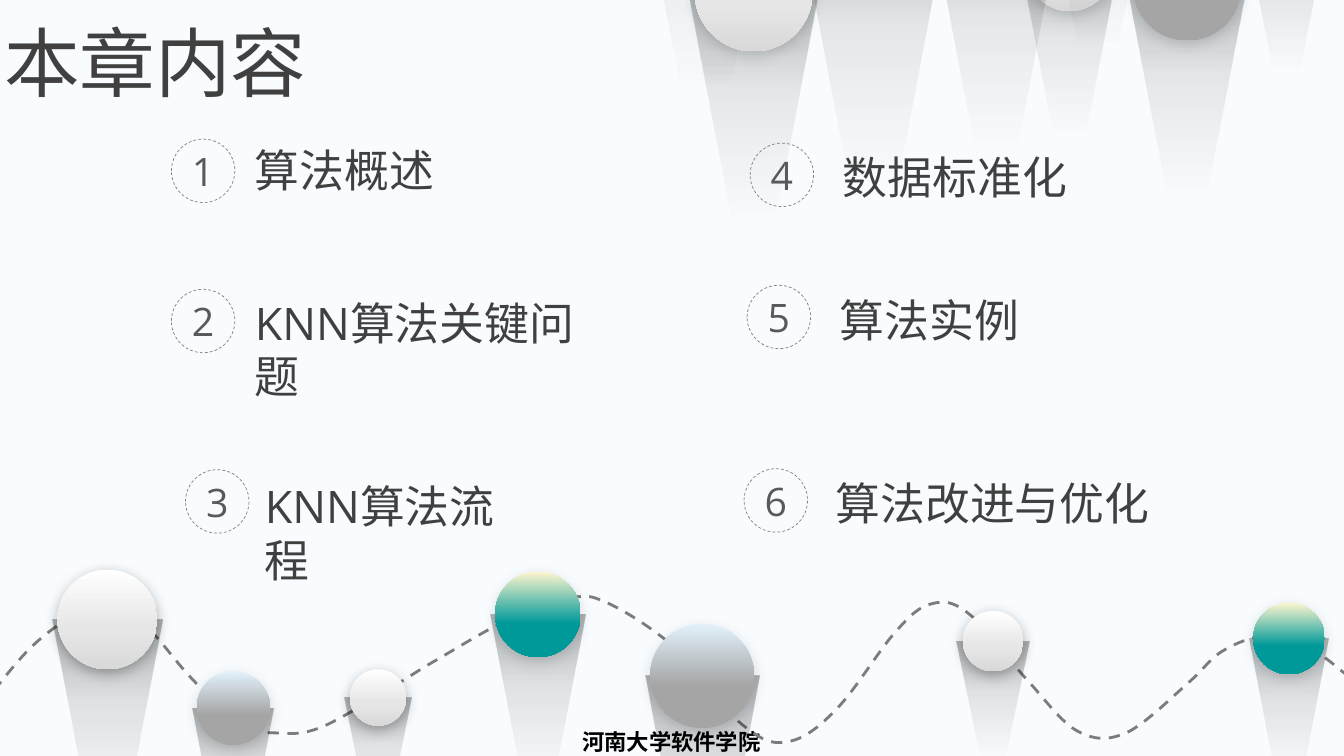
from dataclasses import dataclass

import lxml.etree
import pptx
import pptx.dml.color
import pptx.enum.dml
import pptx.enum.shapes
import pptx.enum.text
import pptx.oxml.ns
import pptx.util
from pptx.util import Inches

HUES = {"page": "F8FCFE", "title": "404040", "digit": "595959", "ring": "808080",
        "wave": "7C7C7C", "foot": "000000", "shade": "000000"}
FONT = "Open Sans"
Stops = list[tuple[int, str, int]]
Points = list[tuple[float, float]]

SKINS: dict[str, Stops] = {
    "white": [(0, "FFFFFF", 100), (60, "E7E6E6", 100), (100, "D9D9D9", 100)],
    "gray": [(1, "E1F0F9", 100), (60, "A5A5A5", 100), (100, "A5A5A5", 100)],
    "teal": [(0, "FFF6CF", 100), (60, "009999", 100), (100, "009999", 100)],
    "high": [(30, "000000", 0), (50, "000000", 4), (70, "000000", 8), (100, "262626", 30)],
    "low": [(30, "000000", 0), (50, "000000", 5), (70, "000000", 10), (100, "000000", 30)],
}


@dataclass
class Cone:
    x: float
    y: float
    w: float
    h: float


@dataclass
class Ball:
    x: float
    y: float
    size: float
    skin: str
    shade: int = 15
    wide: float = 1.1
    tall: float = 2.48


@dataclass
class Item:
    x: float
    y: float
    left: float
    top: float
    width: float
    text: str


HIGH: list[Cone | Ball] = [
    Cone(8.84, -1.44, 0.64, 1.6), Cone(9.77, -1.63, 0.84, 2.1),
    Cone(9.29, -2.83, 1.37, 3.4), Cone(8.92, -2.1, 1.03, 2.56),
    Cone(12.37, -0.59, 0.78, 1.83), Ball(10.18, -0.75, 0.86, "white"),
    Cone(9.24, -0.81, 1.28, 3.2), Cone(6.25, -1.75, 1.49, 3.69),
    Cone(7.82, -1.62, 0.9, 2.23), Cone(7.62, -2.23, 0.96, 2.36),
    Cone(7.92, -0.85, 1.49, 3.69), Cone(7.32, -1.2, 1, 2.5),
    Ball(6.89, -0.66, 1.17, "white"), Cone(10.3, -1.61, 1.18, 2.93),
    Cone(11.02, -1.04, 0.69, 1.56), Ball(11.24, -0.67, 1.07, "gray"),
]
LOW: list[Cone | Ball] = [
    Ball(0.57, 5.65, 0.99, "white", 30), Ball(1.95, 6.66, 0.73, "gray"),
    Ball(3.47, 6.64, 0.56, "white", 30, 1.18, 2.32), Ball(4.91, 5.67, 0.85, "teal"),
    Ball(6.45, 6.19, 1.03, "gray"), Ball(9.55, 6.06, 0.6, "white", 30, 1.2, 2.29),
    Ball(12.43, 5.98, 0.71, "teal"),
]
ITEMS = [
    Item(1.7, 1.38, 2.43, 1.37, 2, "算法概述"),
    Item(1.7, 2.87, 2.43, 2.88, 3.8, "KNN算法关键问题"),
    Item(1.84, 4.66, 2.53, 4.7, 2.9, "KNN算法流程"),
    Item(7.44, 1.42, 8.26, 1.44, 2.45, "数据标准化"),
    Item(7.41, 2.83, 8.23, 2.85, 2, "算法实例"),
    Item(7.38, 4.65, 8.19, 4.67, 3.34, "算法改进与优化"),
]
WAVE: Points = [
    (-0.06, 6.85),
    (0.06, 6.7), (0.18, 6.55), (0.29, 6.44), (0.41, 6.32), (0.53, 6.23), (0.64, 6.16),
    (0.74, 6.09), (0.81, 6.04), (0.92, 6.02), (1.02, 6.01), (1.15, 6.02), (1.25, 6.06),
    (1.35, 6.1), (1.38, 6.14), (1.49, 6.25), (1.6, 6.36), (1.78, 6.61), (1.91, 6.74),
    (2.03, 6.87), (2.15, 6.98), (2.24, 7.05), (2.33, 7.13), (2.38, 7.16), (2.46, 7.2),
    (2.54, 7.23), (2.58, 7.27), (2.71, 7.27), (2.84, 7.27), (2.97, 7.31), (3.22, 7.2),
    (3.47, 7.09), (4.22, 6.61), (4.22, 6.61), (4.52, 6.44), (4.78, 6.27), (5, 6.17),
    (5.22, 6.06), (5.38, 6.02), (5.54, 5.98), (5.7, 5.94), (5.76, 5.87), (5.95, 5.95),
    (6.14, 6.02), (6.46, 6.22), (6.7, 6.43), (6.93, 6.63), (7.17, 7.02), (7.35, 7.18),
    (7.54, 7.33), (7.64, 7.39), (7.8, 7.36), (7.96, 7.34), (8.12, 7.22), (8.3, 7.03),
    (8.48, 6.85), (8.73, 6.43), (8.89, 6.26), (9.04, 6.09), (9.12, 6.02), (9.24, 5.99),
    (9.36, 5.96), (9.45, 5.96), (9.61, 6.09), (9.78, 6.22), (10.03, 6.58), (10.21, 6.77),
    (10.39, 6.97), (10.54, 7.18), (10.7, 7.26), (10.86, 7.34), (10.98, 7.35), (11.17, 7.27),
    (11.35, 7.19), (11.63, 6.91), (11.79, 6.77), (11.95, 6.63), (12, 6.53), (12.14, 6.45),
    (12.27, 6.37), (12.45, 6.31), (12.58, 6.3), (12.72, 6.29), (12.81, 6.32), (12.95, 6.4),
    (13.09, 6.47), (13.25, 6.61), (13.42, 6.75),
]
SPIKE: Points = [(0, 1), (0.16, 0.66), (0.46, 0), (0.5, 0), (0.54, 0), (0.84, 0.66), (1, 1)]


def rgb(name: str) -> pptx.dml.color.RGBColor:
    return pptx.dml.color.RGBColor.from_string(HUES[name])


def node(parent, tag: str, **attrs):
    texts = {key: str(value) for key, value in attrs.items()}
    return lxml.etree.SubElement(parent, pptx.oxml.ns.qn(tag), texts)


def tint(parent, hue: str, alpha: int) -> None:
    color = node(parent, "a:srgbClr", val=hue)
    if alpha < 100:
        node(color, "a:alpha", val=alpha * 1000)


def blend(shape, stops: Stops) -> None:
    shape.fill.background()
    blank = shape.element.spPr.find(pptx.oxml.ns.qn("a:noFill"))
    grad = node(shape.element.spPr, "a:gradFill", rotWithShape=1)
    shape.element.spPr.replace(blank, grad)
    steps = node(grad, "a:gsLst")
    for pos, hue, alpha in stops:
        tint(node(steps, "a:gs", pos=pos * 1000), hue, alpha)
    node(grad, "a:lin", ang=5400000, scaled=0)


def curve(slide, points: Points, close: bool):
    spots = [(Inches(x), Inches(y)) for x, y in points]
    maker = slide.shapes.build_freeform(*spots[0])
    maker.add_line_segments(spots[1:], close=close)
    shape = maker.convert_to_shape()
    shape.shadow.inherit = False
    lines = shape.element.xpath(".//a:lnTo")
    for start in range(0, len(lines), 3):
        trio = lines[start:start + 3]
        bend = node(trio[0].getparent(), "a:cubicBezTo")
        trio[0].addprevious(bend)
        for line in trio:
            bend.append(line[0])
            line.getparent().remove(line)
    return shape


def draw_cone(slide, cone: Cone, skin: str) -> None:
    points = [(cone.x + u * cone.w, cone.y + v * cone.h) for u, v in SPIKE]
    shape = curve(slide, points, True)
    shape.rotation = 180
    blend(shape, SKINS[skin])
    shape.line.fill.background()


def disc(slide, x: float, y: float, size: float):
    shape = slide.shapes.add_shape(pptx.enum.shapes.MSO_SHAPE.OVAL,
                                   Inches(x), Inches(y), Inches(size), Inches(size))
    shape.shadow.inherit = False
    return shape


def draw_ball(slide, ball: Ball, skin: str) -> None:
    width = ball.size * ball.wide
    mid = ball.size / 2
    draw_cone(slide, Cone(ball.x + mid - width / 2, ball.y + mid, width, width * ball.tall), skin)
    shape = disc(slide, ball.x, ball.y, ball.size)
    blend(shape, SKINS[ball.skin])
    shape.line.fill.background()
    glow = shape.element.spPr.find(pptx.oxml.ns.qn("a:effectLst"))
    cast = node(glow, "a:outerShdw", blurRad=pptx.util.Pt(10), dist=pptx.util.Pt(3),
                dir=5400000, algn="t", rotWithShape=0)
    tint(cast, HUES["shade"], ball.shade)


def draw_all(slide, parts: list[Cone | Ball], skin: str) -> None:
    for part in parts:
        if isinstance(part, Ball):
            draw_ball(slide, part, skin)
        else:
            draw_cone(slide, part, skin)


def write(shape, text: str, size: int, hue: str, align: str = "LEFT", anchor: str = "TOP",
          font: str = FONT, bold: bool = False, wrap: bool = True) -> None:
    frame = shape.text_frame
    frame.word_wrap = wrap
    frame.auto_size = pptx.enum.text.MSO_AUTO_SIZE.NONE
    frame.vertical_anchor = pptx.enum.text.MSO_ANCHOR[anchor]
    para = frame.paragraphs[0]
    para.alignment = pptx.enum.text.PP_ALIGN[align]
    para.line_spacing = 1.0
    run = para.add_run()
    run.text = text
    run.font.size = pptx.util.Pt(size)
    run.font.name = font
    run.font.bold = bold
    run.font.color.rgb = rgb(hue)


def box(slide, x: float, y: float, w: float, h: float):
    return slide.shapes.add_textbox(Inches(x), Inches(y), Inches(w), Inches(h))


def dash(shape, hue: str, width: float) -> None:
    shape.fill.background()
    shape.line.color.rgb = rgb(hue)
    shape.line.width = pptx.util.Pt(width)
    shape.line.dash_style = pptx.enum.dml.MSO_LINE.DASH


def draw_item(slide, num: int, item: Item) -> None:
    ring = disc(slide, item.x, item.y, 0.63)
    dash(ring, "ring", 0.5)
    write(ring, str(num), 28, "digit", "CENTER", "MIDDLE")
    write(box(slide, item.left, item.top, item.width, 0.64), item.text, 32, "title")


def main() -> None:
    deck = pptx.Presentation()
    deck.slide_width, deck.slide_height = Inches(13.33), Inches(7.5)
    slide = deck.slides.add_slide(deck.slide_layouts[5])
    slide.background.fill.solid()
    slide.background.fill.fore_color.rgb = rgb("page")
    title = slide.shapes.title
    title.left, title.top = Inches(-0.06), Inches(0.11)
    title.width, title.height = Inches(3.23), Inches(1.01)
    write(title, "本章内容", 54, "title", wrap=False)
    write(box(slide, 4.93, 7.17, 3.46, 0.33), "河南大学软件学院", 16, "foot", "CENTER",
          font="DejaVu Sans", bold=True)
    draw_all(slide, HIGH, "high")
    dash(curve(slide, WAVE, False), "wave", 2)
    draw_all(slide, LOW, "low")
    for num, item in enumerate(ITEMS, 1):
        draw_item(slide, num, item)
    deck.save("out.pptx")


if __name__ == "__main__":
    main()
